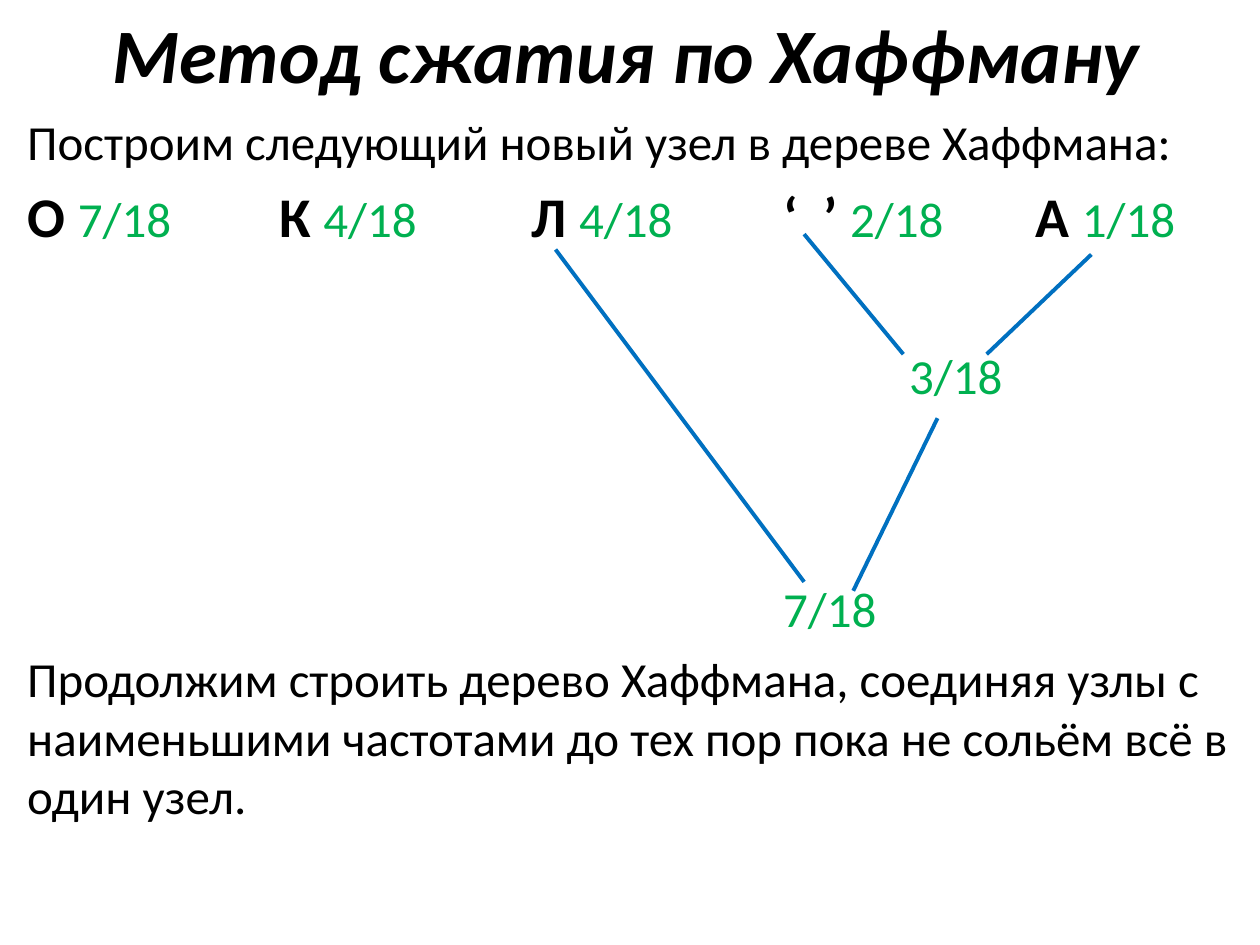
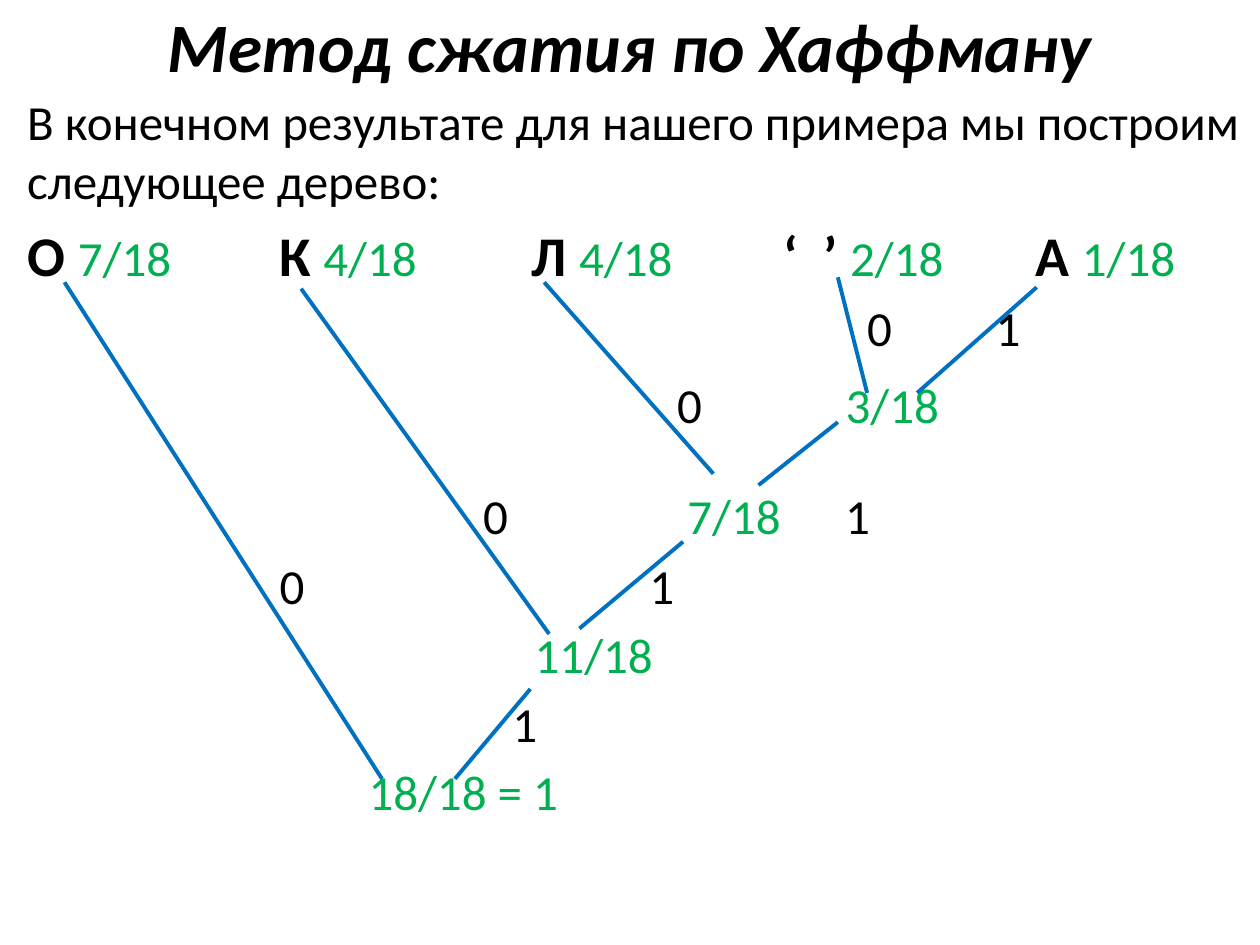
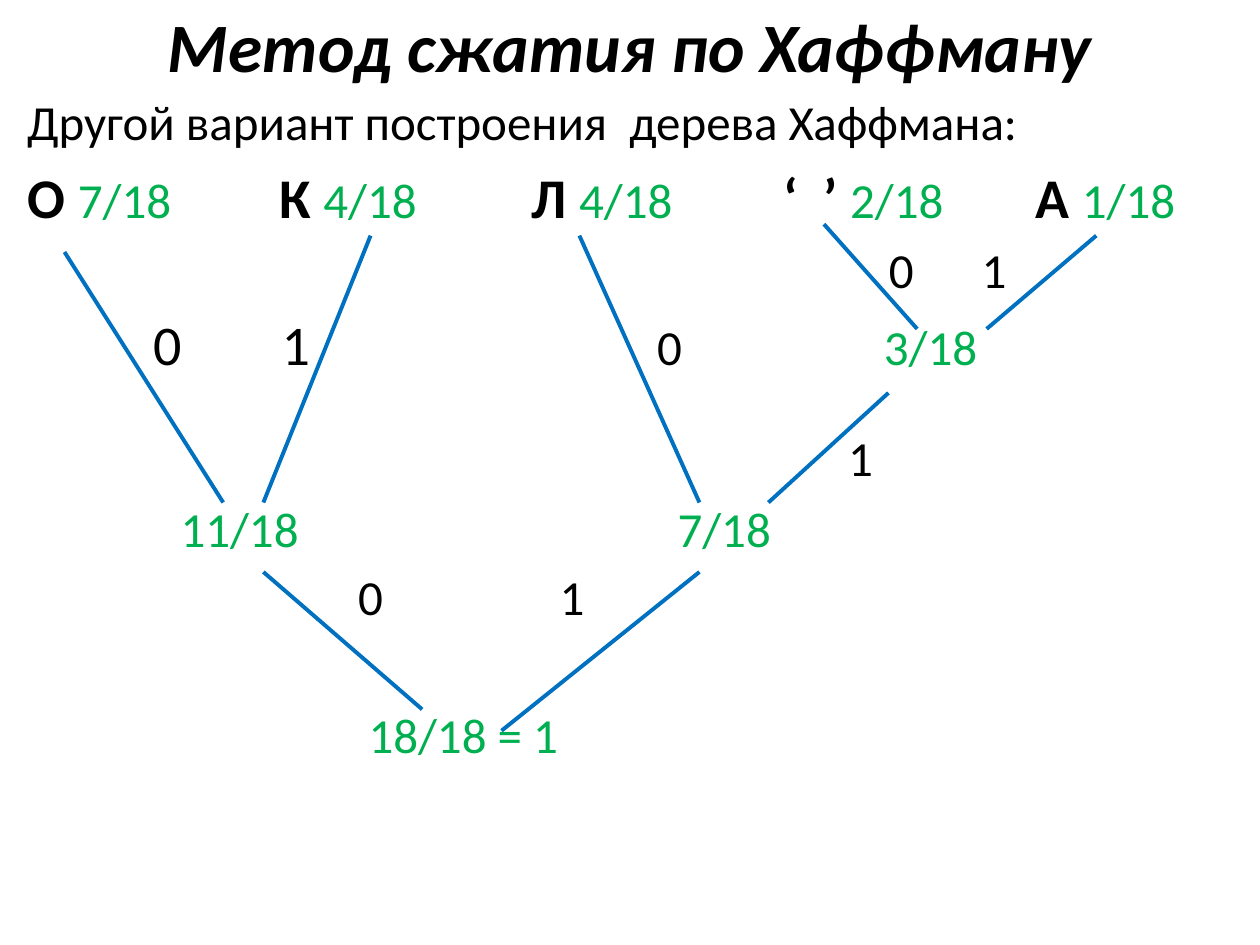
from dataclasses import dataclass

from lxml import etree
from pptx import Presentation
from pptx.dml.color import RGBColor
from pptx.enum.shapes import MSO_CONNECTOR
from pptx.enum.text import MSO_ANCHOR, MSO_AUTO_SIZE, PP_ALIGN
from pptx.oxml.ns import qn
from pptx.util import Cm, Pt

LINE = MSO_CONNECTOR.STRAIGHT
MIDDLE = MSO_ANCHOR.MIDDLE
FIXED = MSO_AUTO_SIZE.NONE
CENTER = PP_ALIGN.CENTER
TITLE_ONLY = 5


@dataclass(frozen=True)
class Theme:
    font: str = "Calibri"
    ink: RGBColor = RGBColor(0, 0, 0)
    node: RGBColor = RGBColor(0x00, 0xB0, 0x50)
    edge: RGBColor = RGBColor(0x00, 0x70, 0xC0)
    text: float = 28
    large: float = 32
    width: float = 2.25
    gap: float = 5.6
    wide: float = 6.4


class Deck:
    def __init__(self, theme):
        self.theme = theme
        self.file = Presentation()
        self.file.slide_width = Cm(25.4)
        self.file.slide_height = Cm(19.05)
        self.slide = None
        self.frame = None

    def place(self, shape, box):
        shape.left, shape.top, shape.width, shape.height = map(Cm, box)

    def run(self, para, text, size, color=None, bold=False, italic=False):
        run = para.add_run()
        run.text = text
        font = run.font
        font.name = self.theme.font
        font.size = Pt(size)
        font.bold = bold
        font.italic = italic
        font.color.rgb = color or self.theme.ink

    def title(self, text, box, size):
        self.slide = self.file.slides.add_slide(self.file.slide_layouts[TITLE_ONLY])
        shape = self.slide.shapes.title
        self.place(shape, box)
        frame = shape.text_frame
        frame.auto_size = FIXED
        frame.vertical_anchor = MIDDLE
        para = frame.paragraphs[0]
        para.alignment = CENTER
        self.run(para, text, size, bold=True, italic=True)

    def body(self, text, box):
        shape = self.slide.shapes.add_textbox(*map(Cm, box))
        self.frame = shape.text_frame
        self.frame.word_wrap = True
        self.run(self.frame.paragraphs[0], text, self.theme.text)

    def para(self, gap, tabs=()):
        para = self.frame.add_paragraph()
        para.space_before = Pt(gap)
        if tabs:
            stops = etree.SubElement(para._p.get_or_add_pPr(), qn("a:tabLst"))
            for x in tabs:
                etree.SubElement(stops, qn("a:tab"), pos=str(Cm(x)), algn="l")
        return para

    def leaves(self, items, step):
        theme = self.theme
        para = self.para(theme.wide, [step * n for n in range(1, len(items))])
        for n, (sign, rate) in enumerate(items):
            if n:
                self.run(para, "\t", theme.large)
            self.run(para, sign + " ", theme.large, bold=True)
            self.run(para, rate, theme.text, theme.node)

    def row(self, gap, *items):
        theme = self.theme
        para = self.para(gap, [item[0] for item in items])
        for _, text, *size in items:
            color = theme.node if "/" in text else theme.ink
            self.run(para, "\t" + text, size[0] if size else theme.text, color)

    def note(self, text):
        self.run(self.para(self.theme.wide), text, self.theme.text)

    def edge(self, *ends):
        line = self.slide.shapes.add_connector(LINE, *map(Cm, ends))
        line.line.color.rgb = self.theme.edge
        line.line.width = Pt(self.theme.width)
        etree.SubElement(line._element.spPr, qn("a:effectLst"))

    def tree(self, rows, edges):
        for row in rows:
            self.row(*row)
        for ends in edges:
            self.edge(*ends)


THEME = Theme()
GAP, WIDE, LARGE = THEME.gap, THEME.wide, THEME.large
HEAD = "Метод сжатия по Хаффману"
LEAVES = [("О", "7/18"), ("К", "4/18"), ("Л", "4/18"), ("‘  ’", "2/18"), ("А", "1/18")]
STEP = 5.08
TALL = ((1.2, 0, 22.86, 2.13), 44, (0.3, 2.13, 24.8, 16.4))
SLIM = ((1.27, 0.08, 22.86, 1.65), 39.6, (0.3, 1.73, 25, 16.54))

SLIDES = [
    dict(
        form=TALL,
        intro="Построим следующий новый узел в дереве Хаффмана:",
        rows=[(55, (17.78, "3/18")), (99.5, (15.24, "7/18"))],
        edges=[
            (16.21, 4.72, 18.21, 7.14),
            (22, 5.13, 19.89, 7.14),
            (11.2, 5.03, 16.21, 11.73),
            (18.9, 8.43, 17.2, 11.91),
        ],
        note="Продолжим строить дерево Хаффмана, соединяя узлы с "
        "наименьшими частотами до тех пор пока не сольём всё в один узел.",
    ),
    dict(
        form=SLIM,
        intro="В конечном результате для нашего примера мы построим следующее дерево:",
        rows=[
            (GAP, (16.93, "0"), (19.52, "1")),
            (10.2, (13.1, "0"), (16.5, "3/18")),
            (30, (9.19, "0"), (13.31, "7/18"), (16.49, "1")),
            (WIDE, (5.09, "0"), (12.54, "1")),
            (GAP, (10.23, "11/18")),
            (GAP, (9.78, "1")),
            (GAP, (6.88, "18/18 = 1")),
        ],
        edges=[
            (20.9, 5.79, 18.49, 7.92),
            (16.89, 5.59, 17.48, 7.92),
            (16.89, 8.51, 15.29, 9.78),
            (10.97, 5.69, 14.38, 9.55),
            (13.77, 10.92, 11.68, 12.67),
            (6.07, 5.82, 11.07, 12.78),
            (1.3, 5.69, 7.7, 15.7),
            (10.69, 13.89, 9.17, 15.7),
        ],
    ),
    dict(
        form=SLIM,
        intro="Другой вариант построения  дерева Хаффмана:",
        rows=[
            (GAP, (17.37, "0"), (19.24, "1")),
            (WIDE, (2.54, "0", LARGE), (5.13, "1", LARGE), (12.7, "0"), (17.27, "3/18")),
            (29.5, (16.55, "1")),
            (WIDE, (3.09, "11/18"), (13.11, "7/18")),
            (GAP, (6.67, "0"), (10.73, "1")),
            (45, (6.88, "18/18 = 1")),
        ],
        edges=[
            (22.1, 4.75, 19.89, 6.63),
            (16.61, 4.52, 18.49, 6.63),
            (17.91, 7.92, 15.49, 10.13),
            (11.68, 4.75, 14.1, 10.13),
            (14.1, 11.53, 10.11, 14.73),
            (7.47, 4.75, 5.31, 10.13),
            (1.3, 5.08, 4.5, 10.13),
            (5.31, 11.53, 8.51, 14.3),
        ],
    ),
]


def main():
    deck = Deck(THEME)
    for page in SLIDES:
        top, size, area = page["form"]
        deck.title(HEAD, top, size)
        deck.body(page["intro"], area)
        deck.leaves(LEAVES, STEP)
        deck.tree(page["rows"], page["edges"])
        if "note" in page:
            deck.note(page["note"])
    deck.file.save("out.pptx")


if __name__ == "__main__":
    main()
